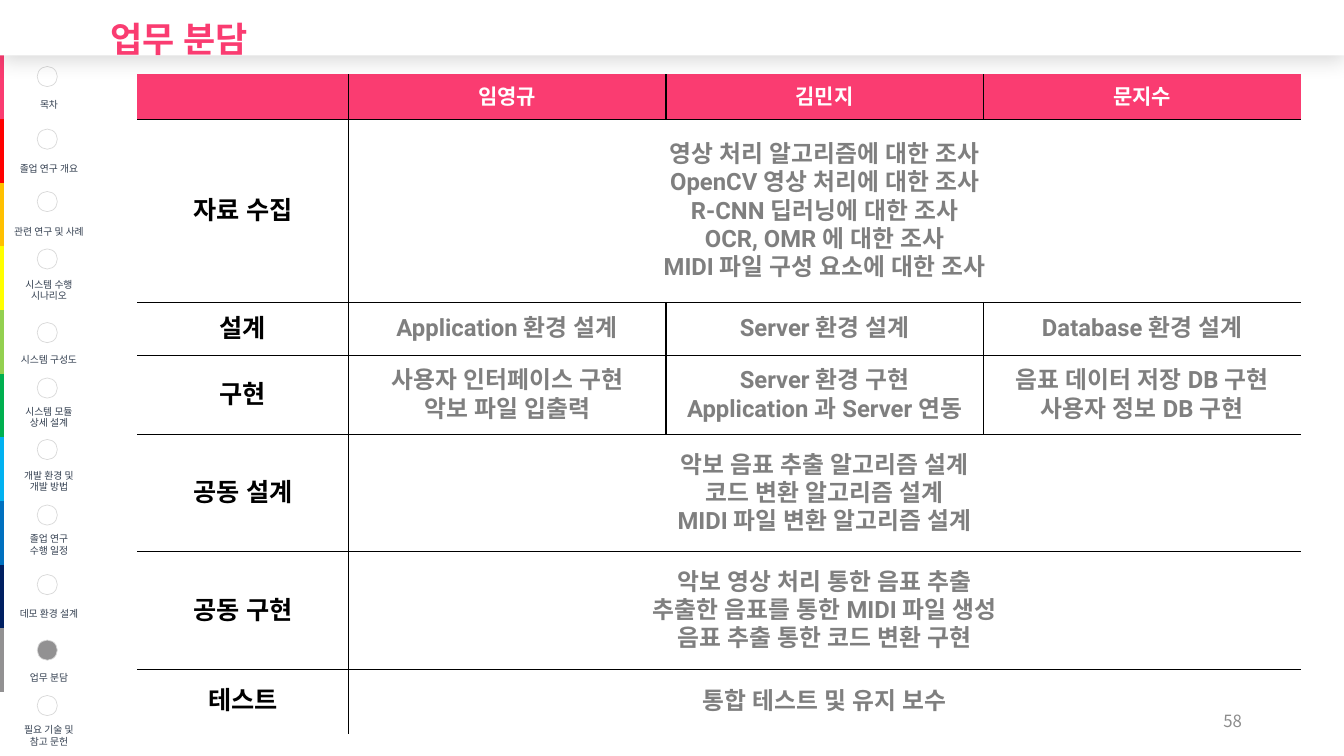
from lxml import etree
from pptx import Presentation
from pptx.dml.color import RGBColor
from pptx.enum.shapes import MSO_SHAPE as SHAPE
from pptx.enum.text import MSO_ANCHOR as ANCHOR, MSO_AUTO_SIZE as FIT, PP_ALIGN as ALIGN
from pptx.oxml import parse_xml
from pptx.oxml.ns import nsdecls, qn
from pptx.util import Pt

# Content
TITLE = "업무 분담"
PAGE = "58"
HEAD = ["", "임영규", "김민지", "문지수"]
# Row label, height, and one list of lines per cell (a single list spans all members)
TASKS = [
    ("자료 수집", 130.9, [["영상 처리 알고리즘에 대한 조사", "OpenCV 영상 처리에 대한 조사",
                       "R-CNN 딥러닝에 대한 조사", "OCR, OMR 에 대한 조사",
                       "MIDI 파일 구성 요소에 대한 조사"]]),
    ("설계", 37.6, [["Application 환경 설계"], ["Server 환경 설계"], ["Database 환경 설계"]]),
    ("구현", 56.8, [["사용자 인터페이스 구현", "악보 파일 입출력"],
                  ["Server 환경 구현", "Application 과 Server 연동"],
                  ["음표 데이터 저장 DB 구현", "사용자 정보 DB 구현"]]),
    ("공동 설계", 83.8, [["악보 음표 추출 알고리즘 설계", "코드 변환 알고리즘 설계",
                      "MIDI 파일 변환 알고리즘 설계"]]),
    ("공동 구현", 83.8, [["악보 영상 처리 통한 음표 추출", "추출한 음표를 통한 MIDI 파일 생성",
                      "음표 추출 통한 코드 변환 구현"]]),
    ("테스트", 46, [["통합 테스트 및 유지 보수"]]),
]
# Menu entry, bar colour, top of its dot
MENU = [
    (["목차"], "FA3C71", 47.5),
    (["졸업 연구 개요"], "FF0000", 92.2),
    (["관련 연구 및 사례"], "FFC000", 136.8),
    (["시스템 수행", "시나리오"], "FFFF00", 177.8),
    (["시스템 구성도"], "93D050", 230.4),
    (["시스템 모듈", "상세 설계"], "00B050", 270),
    (["개발 환경 및", "개발 방법"], "02B2F1", 313.9),
    (["졸업 연구", "수행 일정"], "0070BF", 360.7),
    (["데모 환경 설계"], "001F61", 410.4),
    (["업무 분담"], "929192", 457.2),
    (["필요 기술 및", "참고 문헌"], "FFFFFF", 496.8),
]
ACTIVE = 9

PINK = RGBColor(0xFA, 0x3C, 0x71)
WHITE = RGBColor(0xFF, 0xFF, 0xFF)
BLACK = RGBColor(0, 0, 0)
GRAY = RGBColor(0x7F, 0x7F, 0x7F)
NAVY = RGBColor(0x33, 0x3F, 0x50)
PALE = RGBColor(0xD9, 0xD9, 0xD9)
DARK = RGBColor(0x92, 0x91, 0x92)
SOFT = RGBColor(0x8C, 0x8C, 0x8C)
LATIN, KOREAN = "Roboto", "Noto Sans CJK KR"


def write(frame, lines, size, color, bold=False, align=ALIGN.CENTER, face=LATIN):
    for i, line in enumerate(lines):
        para = frame.add_paragraph() if i else frame.paragraphs[0]
        para.alignment = align
        run = para.add_run()
        run.text = line
        font = run.font
        font.size, font.bold, font.name = Pt(size), bold, face
        font.color.rgb = color
        east = etree.Element(qn("a:ea"), typeface=face)
        font._element.find(qn("a:latin")).addnext(east)


def border(cell, sides):
    props = cell._tc.get_or_add_tcPr()
    for i, side in enumerate("LRTB"):
        paint = '<a:solidFill><a:srgbClr val="000000"/></a:solidFill>' if side in sides else "<a:noFill/>"
        props.insert(i, parse_xml(f'<a:ln{side} {nsdecls("a")} w="12700">{paint}</a:ln{side}>'))


def grid(left, top, widths, heights):
    table = slide.shapes.add_table(len(heights), len(widths), Pt(left), Pt(top),
                                   Pt(sum(widths)), Pt(sum(heights))).table
    table.first_row = table.horz_banding = False
    for col, width in zip(table.columns, widths):
        col.width = Pt(width)
    for row, height in zip(table.rows, heights):
        row.height = Pt(height)
    return table


deck = Presentation()
deck.slide_width, deck.slide_height = Pt(960), Pt(540)
slide = deck.slides.add_slide(deck.slide_layouts[5])

# Page number
page = slide.shapes.add_textbox(Pt(678.2), Pt(500.4), Pt(216), Pt(28.8)).text_frame
page.word_wrap, page.vertical_anchor = True, ANCHOR.MIDDLE
write(page, [PAGE], 12, SOFT, align=ALIGN.RIGHT, face=KOREAN)

# Task table
tasks = grid(98.2, 53.2, [150.7] + [226.8] * 3, [32] + [task[1] for task in TASKS])
for c, name in enumerate(HEAD):
    cell = tasks.cell(0, c)
    if name:
        write(cell.text_frame, [name], 15, WHITE, True)
for r, (label, _, cells) in enumerate(TASKS, 1):
    write(tasks.cell(r, 0).text_frame, [label], 18, BLACK, True)
    if len(cells) == 1:
        tasks.cell(r, 1).merge(tasks.cell(r, 3))
    for c, lines in enumerate(cells, 1):
        write(tasks.cell(r, c).text_frame, lines, 17, GRAY, True)
for r in range(len(TASKS) + 1):
    joint = r > 0 and len(TASKS[r - 1][2]) == 1
    for c in range(4):
        cell = tasks.cell(r, c)
        cell.vertical_anchor = ANCHOR.MIDDLE
        if r:
            cell.fill.background()
        else:
            cell.fill.solid()
            cell.fill.fore_color.rgb = PINK
        sides = "T" * (r > 0) + "B" * (r < len(TASKS))
        sides += "L" * (c == 1 or c > 1 and not joint)
        sides += "R" * (c == 0 or c < 3 and not joint)
        border(cell, sides)

# Side menu
menu = grid(-0.7, 39.6, [3.6, 64.1], [500.4 / len(MENU)] * len(MENU))
for r, (lines, color, _) in enumerate(MENU):
    for c, fill in enumerate([RGBColor.from_string(color), WHITE]):
        cell = menu.cell(r, c)
        cell.margin_left = cell.margin_right = cell.margin_top = 0
        cell.margin_bottom = Pt(5.8)
        cell.vertical_anchor = ANCHOR.BOTTOM
        cell.fill.solid()
        cell.fill.fore_color.rgb = fill
        border(cell, "")
    write(menu.cell(r, 1).text_frame, lines, 7, NAVY)

# Menu dots
for i, (_, _, top) in enumerate(MENU):
    dot = slide.shapes.add_shape(SHAPE.OVAL, Pt(26.6), Pt(top), Pt(14.4), Pt(14.4))
    dot.shadow.inherit = False
    dot.fill.solid()
    dot.fill.fore_color.rgb = DARK if i == ACTIVE else WHITE
    dot.line.color.rgb, dot.line.width = PALE, Pt(0.5)

# Title band with a soft shadow, in front of the menu
title = slide.shapes.title
title.left, title.top, title.width, title.height = Pt(0), Pt(0), Pt(960), Pt(39.6)
title.fill.solid()
title.fill.fore_color.rgb = WHITE
title._element.spPr.append(parse_xml(
    f'<a:effectLst {nsdecls("a")}><a:outerShdw blurRad="190500" dist="38100" dir="5400000">'
    '<a:srgbClr val="000000"><a:alpha val="15000"/></a:srgbClr></a:outerShdw></a:effectLst>'))
frame = title.text_frame
frame.auto_size, frame.word_wrap, frame.vertical_anchor = FIT.NONE, True, ANCHOR.MIDDLE
frame.margin_left = Pt(79.2)
write(frame, [TITLE], 25, PINK, True, ALIGN.LEFT)
frame.paragraphs[0].line_spacing = 1.5
slide.shapes._spTree.append(title._element)

deck.save("out.pptx")
